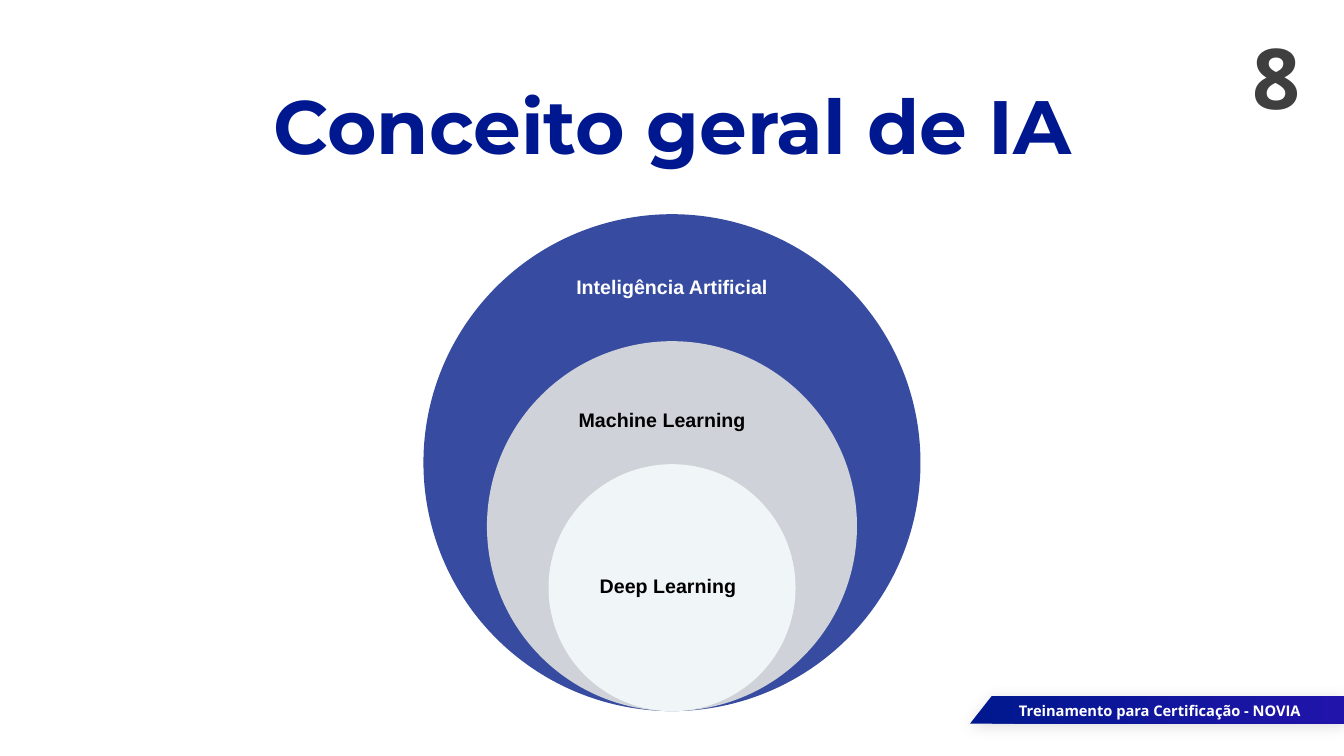
from dataclasses import dataclass
from lxml import etree
from pptx import Presentation
from pptx.dml.color import RGBColor
from pptx.enum import shapes, text
from pptx.oxml import ns
from pptx.util import Inches, Pt


@dataclass(frozen=True)
class Theme:
    navy: str = "00188F"
    violet: str = "2114AA"
    blue: str = "374CA0"
    gray: str = "CFD2D8"
    pale: str = "F0F6F7"
    charcoal: str = "3F3F3F"
    black: str = "000000"
    white: str = "FFFFFF"
    number_size: float = 60
    title_size: float = 54
    label_size: float = 14
    footer_size: float = 10.5


theme = Theme()
ALIGN = text.PP_ALIGN
ANCHOR = text.MSO_ANCHOR


def write(box, wording, font, size, color, align, anchor=ANCHOR.TOP, inset=0.05):
    frame = box.text_frame
    frame.word_wrap = True
    frame.auto_size = text.MSO_AUTO_SIZE.NONE
    frame.vertical_anchor = anchor
    frame.margin_left = frame.margin_right = Inches(0.1)
    frame.margin_top = frame.margin_bottom = Inches(inset)
    para = frame.paragraphs[0]
    para.text = wording
    para.alignment = align
    para.font.name = font
    para.font.size = Pt(size)
    para.font.bold = True
    para.font.color.rgb = RGBColor.from_string(color)


deck = Presentation()
deck.slide_width = Inches(13.33)
deck.slide_height = Inches(7.5)
page = deck.slides.add_slide(deck.slide_layouts[5])

title = page.shapes.title
title.left, title.top, title.width, title.height = map(Inches, (2.5, 0.73, 8.34, 1.01))
write(title, "Conceito geral de IA", "Montserrat", theme.title_size, theme.navy, ALIGN.CENTER)

outline = page.shapes.build_freeform(Inches(9.84), Inches(6.9))
corners = [(13.33, 6.9), (13.33, 7.18), (9.62, 7.18)]
outline.add_line_segments([(Inches(x), Inches(y)) for x, y in corners], close=True)
ribbon = outline.convert_to_shape()
ribbon.line.fill.background()
ribbon.fill.gradient()
ribbon.fill.gradient_angle = 0
for stop, color, position in zip(ribbon.fill.gradient_stops, (theme.navy, theme.violet), (0, 1)):
    stop.color.rgb = RGBColor.from_string(color)
    stop.position = position
ribbon.shadow.inherit = False
effects = ribbon.element.spPr.find(ns.qn("a:effectLst"))
shadow = etree.SubElement(effects, ns.qn("a:outerShdw"), blurRad=str(Pt(11)), dist=str(Pt(2)),
                          dir="5400000", algn="t", rotWithShape="0")
shade = etree.SubElement(shadow, ns.qn("a:srgbClr"), val=theme.black)
etree.SubElement(shade, ns.qn("a:alpha"), val="13000")

number = page.shapes.add_textbox(Inches(10.33), Inches(0.2), Inches(2.67), Inches(1.11))
write(number, "8", "Open Sans", theme.number_size, theme.charcoal, ALIGN.RIGHT, ANCHOR.MIDDLE)

footer = page.shapes.add_textbox(Inches(9.92), Inches(6.91), Inches(3.08), Inches(0.28))
write(footer, "Treinamento para Certificação - NOVIA", "Open Sans", theme.footer_size,
      theme.white, ALIGN.RIGHT)

center, base = 6.665, 7.055
for diameter, color in [(4.93, theme.blue), (3.67, theme.gray), (2.45, theme.pale)]:
    circle = page.shapes.add_shape(
        shapes.MSO_SHAPE.OVAL, Inches(center - diameter / 2), Inches(base - diameter),
        Inches(diameter), Inches(diameter))
    circle.shadow.inherit = False
    circle.fill.solid()
    circle.fill.fore_color.rgb = RGBColor.from_string(color)
    circle.line.fill.background()

labels = [
    ("Inteligência Artificial", 5.44, 2.63, 2.45, theme.white, ALIGN.CENTER),
    ("Machine Learning", 5.64, 3.95, 2.05, theme.black, ALIGN.LEFT),
    ("Deep Learning", 5.85, 5.59, 1.84, theme.black, ALIGN.LEFT),
]
for wording, left, top, width, color, align in labels:
    label = page.shapes.add_textbox(Inches(left), Inches(top), Inches(width), Inches(0.44))
    write(label, wording, "Arial", theme.label_size, color, align, inset=0.1)

deck.save("out.pptx")
